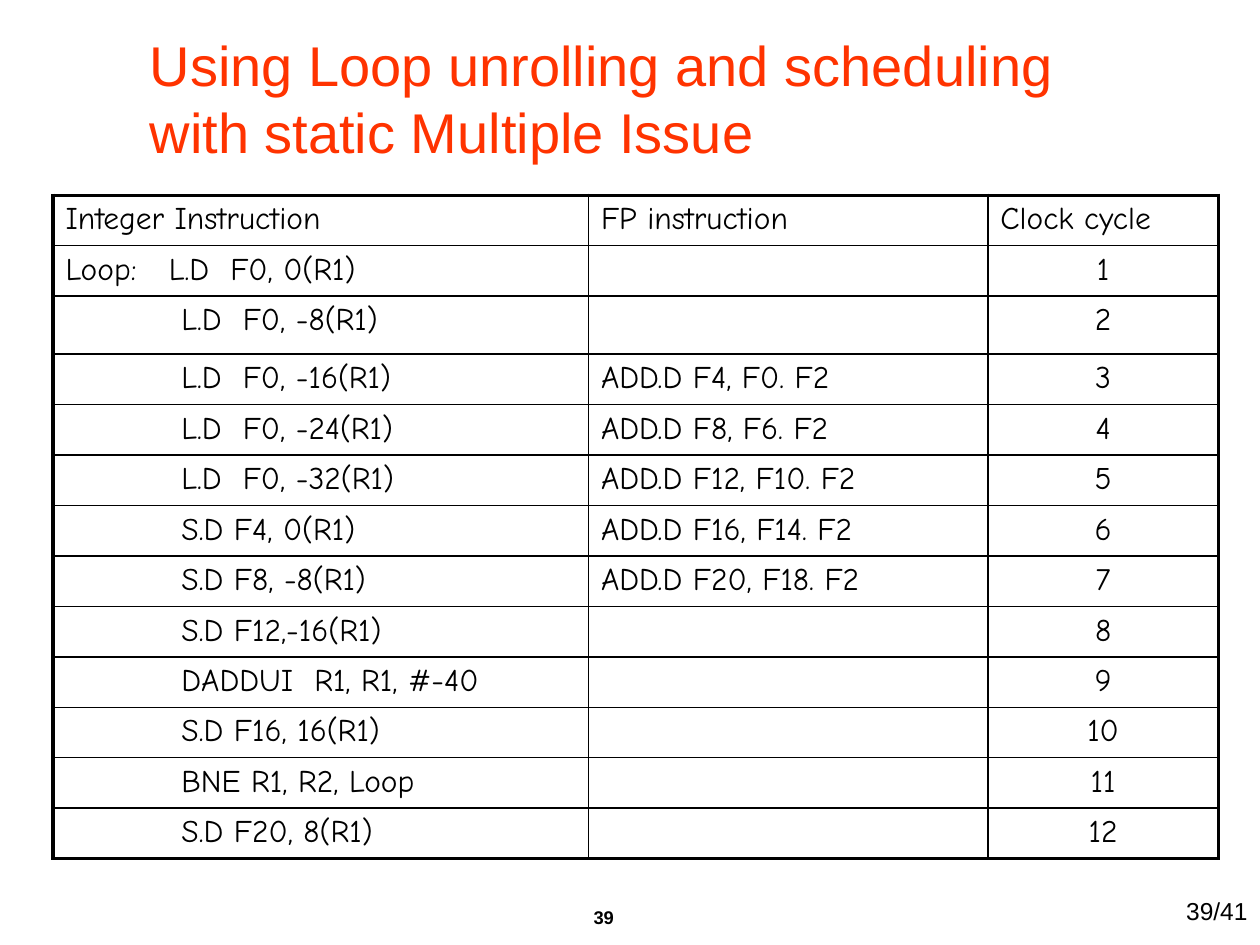
from lxml import etree
from pptx import Presentation, util as u
from pptx.dml.color import RGBColor
from pptx.enum import text
from pptx.oxml import ns

COLORS = {"paper": "FFFFFF", "ink": "000000", "title": "FF3300"}
THICK, THIN = 2.25, 1
INDENT, LABEL_TAB = 0.92, 0.82

HEADINGS = ["Integer Instruction", "FP instruction", "Clock cycle"]
INTEGER_CODE = [
    "Loop:\tL.D  F0, 0(R1)", "L.D  F0, -8(R1)", "L.D  F0, -16(R1)",
    "L.D  F0, -24(R1)", "L.D  F0, -32(R1)", "S.D F4, 0(R1)",
    "S.D F8, -8(R1)", "S.D F12,-16(R1)", "DADDUI  R1, R1, #-40",
    "S.D F16, 16(R1)", "BNE R1, R2, Loop", "S.D F20, 8(R1)",
]
FP_CODE = {
    3: "ADD.D F4, F0. F2", 4: "ADD.D F8, F6. F2", 5: "ADD.D F12, F10. F2",
    6: "ADD.D F16, F14. F2", 7: "ADD.D F20, F18. F2",
}


def rgb(name):
    return RGBColor.from_string(COLORS[name])


def write(frame, words, size=18, font="Arial", color="ink", bold=False,
          align=text.PP_ALIGN.LEFT):
    frame.text = words
    para = frame.paragraphs[0]
    para.alignment = align
    for span in para.runs:
        span.font.size = u.Pt(size)
        span.font.name = font
        span.font.bold = bold
        span.font.color.rgb = rgb(color)
    return para


def add_text(page, left, top, width, height, words,
             anchor=text.MSO_ANCHOR.TOP, fill=None, **style):
    box = page.shapes.add_textbox(*map(u.Inches, (left, top, width, height)))
    box.text_frame.word_wrap = True
    box.text_frame.vertical_anchor = anchor
    if fill:
        box.fill.solid()
        box.fill.fore_color.rgb = rgb(fill)
    write(box.text_frame, words, **style)


def set_borders(cell, widths):
    props = cell._tc.get_or_add_tcPr()
    for side, points in widths.items():
        line = etree.SubElement(props, ns.qn("a:ln" + side), w=str(u.Pt(points)))
        fill = etree.SubElement(line, ns.qn("a:solidFill"))
        etree.SubElement(fill, ns.qn("a:srgbClr"), val=COLORS["ink"])


def indent_code(para, labelled):
    """Line the code up after the label column."""
    props = para._p.get_or_add_pPr()
    if labelled:
        tabs = etree.SubElement(props, ns.qn("a:tabLst"))
        etree.SubElement(tabs, ns.qn("a:tab"), pos=str(u.Inches(LABEL_TAB)), algn="l")
    else:
        props.set("marL", str(u.Inches(INDENT)))
        props.set("indent", "0")


def add_schedule(page, left, top, widths, row_height, tall_rows):
    rows = [HEADINGS] + [
        [code, FP_CODE.get(cycle, ""), str(cycle)]
        for cycle, code in enumerate(INTEGER_CODE, 1)]
    heights = [tall_rows.get(r, row_height) for r in range(len(rows))]
    table = page.shapes.add_table(
        len(rows), len(widths), u.Inches(left), u.Inches(top),
        u.Inches(sum(widths)), u.Inches(sum(heights))).table
    table.first_row = table.horz_banding = False
    for column, width in zip(table.columns, widths):
        column.width = u.Inches(width)
    last_row, last_col = len(rows) - 1, len(widths) - 1
    for r, row in enumerate(rows):
        table.rows[r].height = u.Inches(heights[r])
        for c, words in enumerate(row):
            cell = table.cell(r, c)
            centred = r > 0 and c == last_col
            para = write(cell.text_frame, words, font="Comic Neue",
                         align=text.PP_ALIGN.CENTER if centred else text.PP_ALIGN.LEFT)
            if r > 0 and c == 0:
                indent_code(para, "\t" in words)
            # Thick outer frame, thin inner grid
            set_borders(cell, {
                "L": THICK if c == 0 else THIN,
                "R": THICK if c == last_col else THIN,
                "T": THICK if r == 0 else THIN,
                "B": THICK if r == last_row else THIN})
            cell.fill.solid()
            cell.fill.fore_color.rgb = rgb("paper")


def add_footer(page, left, top):
    add_text(page, left, top + 0.08, 2.08, 0.5, "39", size=10.5, bold=True,
             align=text.PP_ALIGN.RIGHT)
    add_text(page, left + 5.03, top, 2.08, 0.44, "39/41", size=14,
             align=text.PP_ALIGN.RIGHT)


def main():
    deck = Presentation()
    deck.slide_width, deck.slide_height = u.Inches(10), u.Inches(7.5)
    page = deck.slides.add_slide(deck.slide_layouts[6])
    add_footer(page, 2.89, 7.06)
    # Title
    add_text(page, 1.09, 0.21, 8.91, 1.13,
             "Using Loop unrolling and scheduling\vwith static Multiple Issue",
             anchor=text.MSO_ANCHOR.MIDDLE, fill="paper", size=32, color="title")
    # Instruction schedule
    add_schedule(page, 0.42, 1.55, [4.25, 3.17, 1.83], 0.4, {2: 0.46})
    deck.save("out.pptx")


if __name__ == "__main__":
    main()
